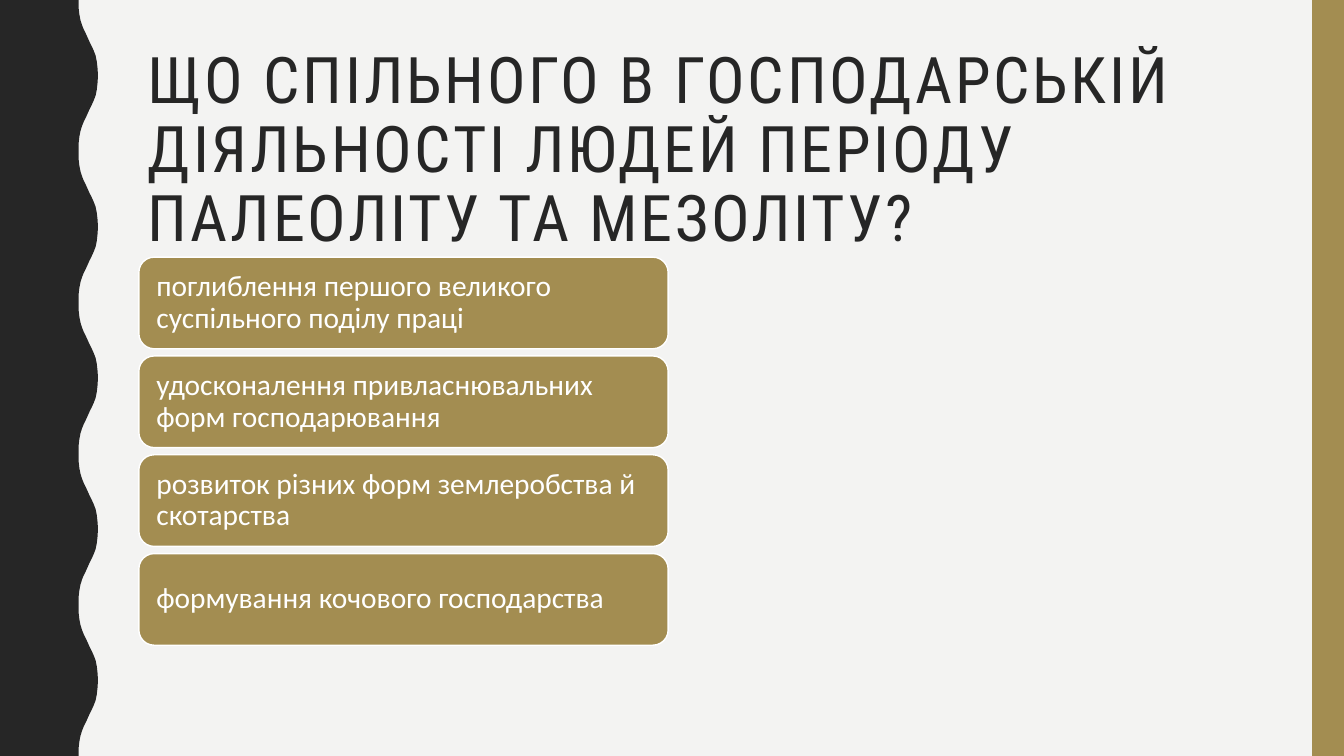
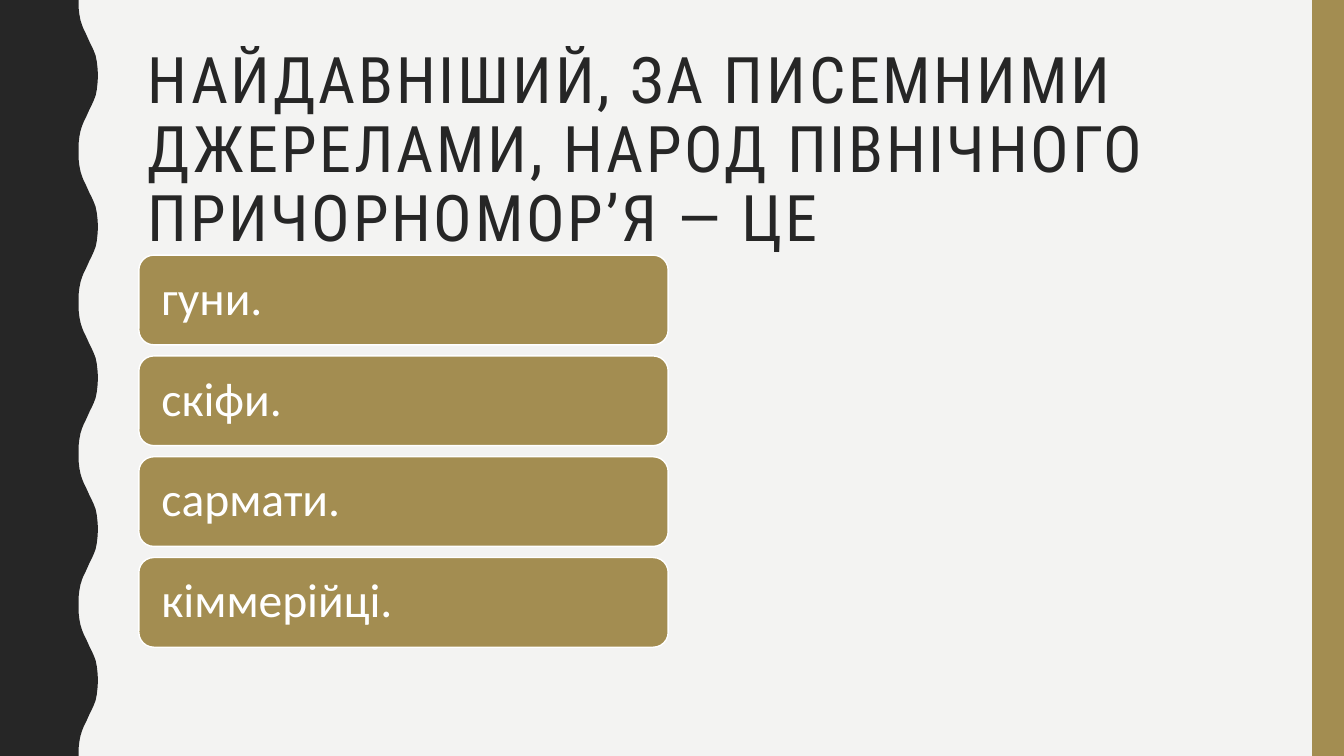
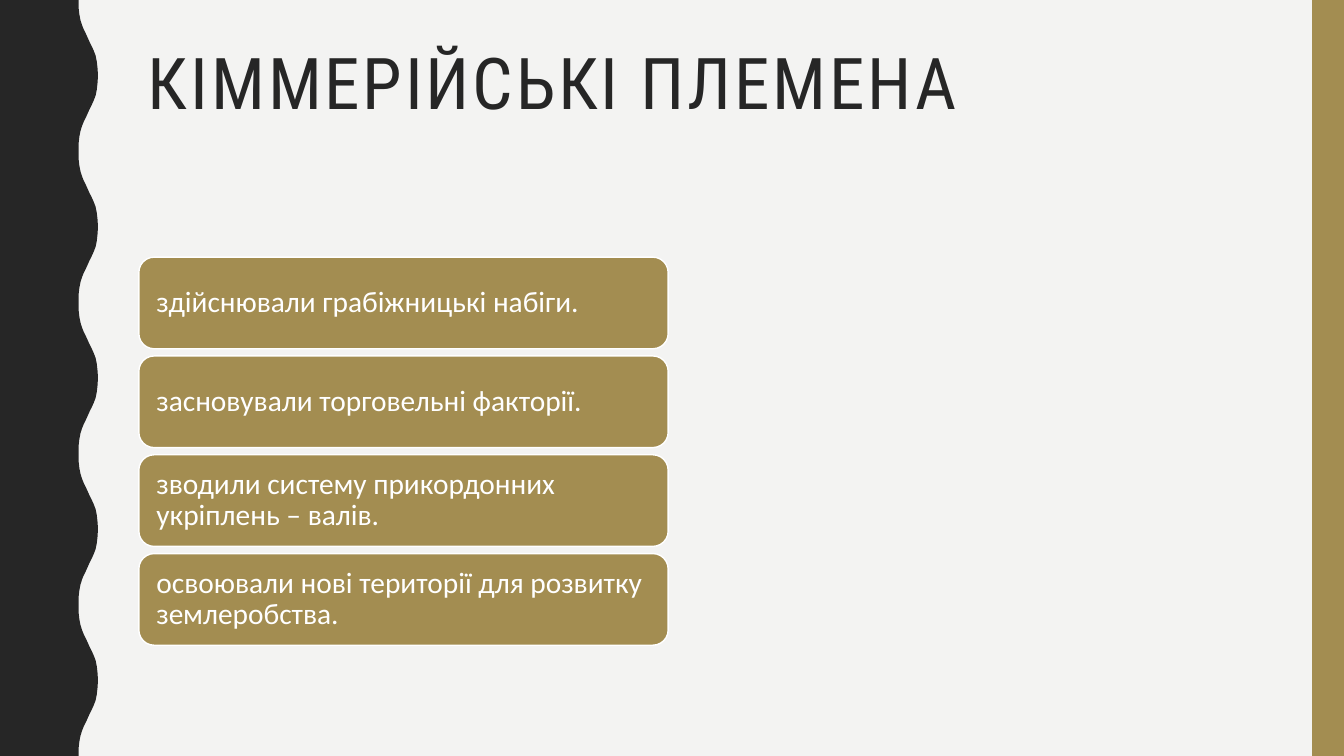
from pptx import Presentation
from pptx.dml.color import RGBColor
from pptx.enum.shapes import MSO_SHAPE
from pptx.enum.text import MSO_ANCHOR, PP_ALIGN
from pptx.util import Cm, Pt

RECT, ROUND_RECT = MSO_SHAPE.RECTANGLE, MSO_SHAPE.ROUNDED_RECTANGLE
TOP, MIDDLE = MSO_ANCHOR.TOP, MSO_ANCHOR.MIDDLE
LEFT = PP_ALIGN.LEFT

DARK, GOLD, PAPER, WHITE = "262626", "A38D51", "F3F3F2", "FFFFFF"
TITLE_FONT, BODY_FONT = "Roboto Condensed", "Calibri"
SLIDE_W, SLIDE_H = 33.87, 19.05
STRIPE_W = 0.8
WAVES = 5
HALF_WAVE = [
    (1.98, 0), (1.98, 0.18), (2.0, 0.36), (2.03, 0.51), (2.07, 0.64),
    (2.11, 0.74), (2.16, 0.84), (2.21, 0.95), (2.26, 1.06), (2.31, 1.16),
    (2.36, 1.27), (2.41, 1.4), (2.44, 1.55), (2.46, 1.73), (2.47, 1.9),
]
CARD_X, CARD_W, CARDS_MIDDLE = 3.5, 13.34, 11.37

SMALL_CARDS = {"height": 2.31, "gap": 0.18, "inset": 0.33, "size": 21}
LARGE_CARDS = {"height": 2.26, "gap": 0.28, "inset": 0.46, "size": 34}

SLIDES = [
    ("ЩО СПІЛЬНОГО В ГОСПОДАРСЬКІЙ ДІЯЛЬНОСТІ ЛЮДЕЙ ПЕРІОДУ ПАЛЕОЛІТУ ТА МЕЗОЛІТУ?",
     45.9,
     ["поглиблення першого великого суспільного поділу праці",
      "удосконалення привласнювальних форм господарювання",
      "розвиток різних форм землеробства й скотарства",
      "формування кочового господарства"],
     SMALL_CARDS),
    ("НАЙДАВНІШИЙ, ЗА ПИСЕМНИМИ ДЖЕРЕЛАМИ, НАРОД ПІВНІЧНОГО ПРИЧОРНОМОР’Я — ЦЕ",
     45.9,
     ["гуни.", "скіфи.", "сармати.", "кіммерійці."],
     LARGE_CARDS),
    ("КІММЕРІЙСЬКІ ПЛЕМЕНА",
     51,
     ["здійснювали грабіжницькі набіги.",
      "засновували торговельні факторії.",
      "зводили систему прикордонних укріплень – валів.",
      "освоювали нові території для розвитку землеробства."],
     SMALL_CARDS),
]


def paint(fill, color):
    """Make a fill solid in a hex colour."""
    fill.solid()
    fill.fore_color.rgb = RGBColor.from_string(color)


def style_shape(sp, color, line=None):
    """Set a shape's fill and outline and drop its shadow."""
    sp.shadow.inherit = False
    paint(sp.fill, color)
    if line:
        paint(sp.line.fill, line)
        sp.line.width = Pt(1)
    else:
        sp.line.fill.background()


def write(sp, text, font, size, color, anchor, inset_x, inset_y):
    """Write one left-aligned paragraph in a shape and return its run."""
    tf = sp.text_frame
    tf.word_wrap = True
    tf.vertical_anchor = anchor
    tf.margin_left = tf.margin_right = Cm(inset_x)
    tf.margin_top = tf.margin_bottom = Cm(inset_y)
    p = tf.paragraphs[0]
    p.alignment = LEFT
    p.line_spacing = 0.9
    r = p.add_run()
    r.text = text
    r.font.name = font
    r.font.size = Pt(size)
    paint(r.font.fill, color)
    return r


def add_wave(s):
    """Draw the dark band with a wavy right edge."""
    period = SLIDE_H / WAVES
    wave = HALF_WAVE + [(x, period - y) for x, y in HALF_WAVE[-2::-1]]
    edge = [(x, y + i * period) for i in range(WAVES) for x, y in wave]
    points = [(Cm(x), Cm(y)) for x, y in edge + [(0, SLIDE_H)]]
    builder = s.shapes.build_freeform(0, 0)
    builder.add_line_segments(points, close=True)
    style_shape(builder.convert_to_shape(), DARK)


def add_stripe(s):
    """Draw the gold stripe along the right side."""
    sp = s.shapes.add_shape(RECT, Cm(SLIDE_W - STRIPE_W), 0, Cm(STRIPE_W), Cm(SLIDE_H))
    style_shape(sp, GOLD)


def add_title(s, text, size):
    """Add the widely spaced slide title."""
    sp = s.shapes.add_textbox(Cm(3.48), Cm(1.07), Cm(28.27), Cm(4.14))
    r = write(sp, text, TITLE_FONT, size, DARK, TOP, 0.25, 0.13)
    r.font._element.set("spc", "200")


def add_cards(s, texts, height, gap, inset, size):
    """Stack equal cards around a common middle line."""
    pitch = height + gap
    top = CARDS_MIDDLE - (len(texts) * pitch - gap) / 2
    for i, text in enumerate(texts):
        sp = s.shapes.add_shape(
            ROUND_RECT, Cm(CARD_X), Cm(top + i * pitch), Cm(CARD_W), Cm(height))
        style_shape(sp, GOLD, WHITE)
        write(sp, text, BODY_FONT, size, WHITE, MIDDLE, inset, 0)


def add_slide(prs):
    """Add a blank slide with the shared background and bands."""
    s = prs.slides.add_slide(prs.slide_layouts[6])
    paint(s.background.fill, PAPER)
    add_wave(s)
    add_stripe(s)
    return s


def main():
    """Build and save the presentation."""
    prs = Presentation()
    prs.slide_width, prs.slide_height = Cm(SLIDE_W), Cm(SLIDE_H)
    for title, title_size, texts, cards in SLIDES:
        s = add_slide(prs)
        add_title(s, title, title_size)
        add_cards(s, texts, **cards)
    prs.save("out.pptx")


if __name__ == "__main__":
    main()
